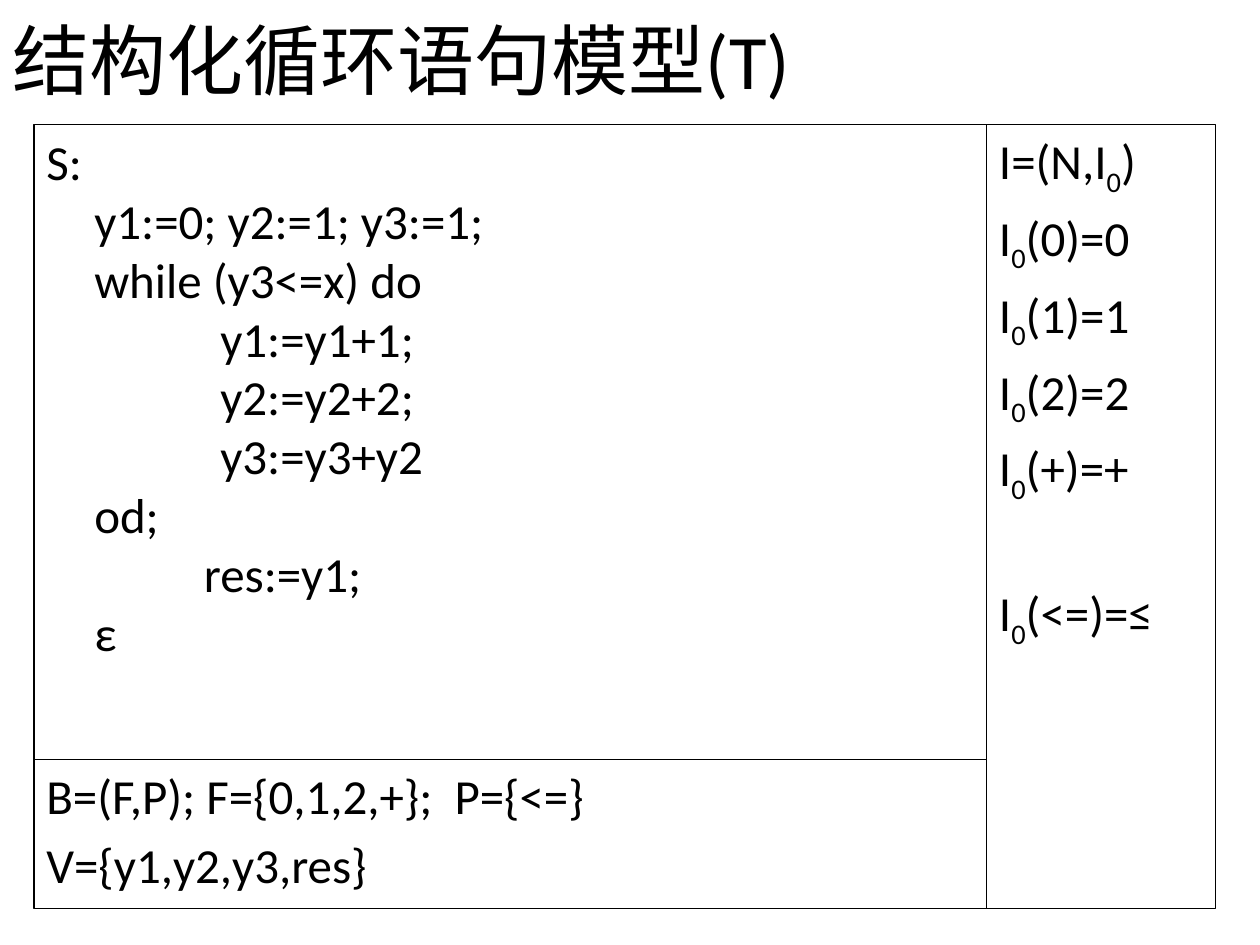
"""Build the slide on the structured loop statement model."""
from pptx import Presentation
from pptx.dml.color import RGBColor
from pptx.enum.shapes import MSO_SHAPE
from pptx.enum.text import MSO_ANCHOR, PP_ALIGN
from pptx.util import Inches, Pt

RECTANGLE = MSO_SHAPE.RECTANGLE
TOP, MIDDLE = MSO_ANCHOR.TOP, MSO_ANCHOR.MIDDLE
LEFT = PP_ALIGN.LEFT
INK = "000000"
BODY_SIZE, TITLE_SIZE = 28, 44
LINE_GAP = 0.2 * BODY_SIZE
BLANK_LINE = 39
COLUMNS = [0.27, 7.83, 9.65]
ROWS = [0.99, 6.03, 7.21]


def color(value):
    return RGBColor.from_string(value)


def add_line(frame, index, parts, size=BODY_SIZE, indent=0, before=0):
    para = frame.add_paragraph() if index else frame.paragraphs[0]
    para.alignment = LEFT
    para.space_before = Pt(before)
    if indent:
        para._p.get_or_add_pPr().set("marL", str(Inches(indent)))
    for number, part in enumerate(parts):
        span = para.add_run()
        span.text = part
        span.font.name = "Calibri"
        span.font.size = Pt(size)
        span.font.color.rgb = color(INK)
        if number == 1:
            span._r.get_or_add_rPr().set("baseline", "-25000")
    return para


deck = Presentation()
deck.slide_width, deck.slide_height = Inches(10), Inches(7.5)
page = deck.slides.add_slide(deck.slide_layouts[6])

title = page.shapes.add_textbox(0, Inches(0.02), deck.slide_width, Inches(0.9))
title.text_frame.word_wrap = True
title.text_frame.vertical_anchor = MIDDLE
add_line(title.text_frame, 0, ["结构化循环语句模型(T)"], TITLE_SIZE)

panels = []
for column, top_row, bottom_row in [(0, 0, 1), (0, 1, 2), (1, 0, 2)]:
    box = page.shapes.add_shape(
        RECTANGLE, Inches(COLUMNS[column]), Inches(ROWS[top_row]),
        Inches(COLUMNS[column + 1] - COLUMNS[column]),
        Inches(ROWS[bottom_row] - ROWS[top_row]))
    box.shadow.inherit = False
    box.fill.background()
    box.line.color.rgb = color(INK)
    box.line.width = Pt(0.75)
    box.text_frame.word_wrap = True
    box.text_frame.vertical_anchor = TOP
    panels.append(box.text_frame)
program, basis, interpretation = panels

statements = [
    ("S:", 0),
    ("y1:=0; y2:=1; y3:=1;", 0.38),
    ("while (y3<=x) do", 0.38),
    ("y1:=y1+1;", 1.38),
    ("y2:=y2+2;", 1.38),
    ("y3:=y3+y2", 1.38),
    ("od;", 0.38),
    ("res:=y1;", 1.25),
    ("ε", 0.38),
]
for index, (statement, indent) in enumerate(statements):
    para = add_line(program, index, [statement], indent=indent)
    para.line_spacing = Pt(33.7)

for index, text in enumerate(["B=(F,P); F={0,1,2,+};  P={<=}", "V={y1,y2,y3,res}"]):
    add_line(basis, index, [text], before=LINE_GAP if index else 0)

add_line(interpretation, 0, ["I=(N,I", "0", ")"])
meanings = ["(0)=0", "(1)=1", "(2)=2", "(+)=+", "(<=)=≤"]
for index, meaning in enumerate(meanings, 1):
    extra = BLANK_LINE if index == len(meanings) else 0
    add_line(interpretation, index, ["I", "0", meaning], before=LINE_GAP + extra)

deck.save("out.pptx")
